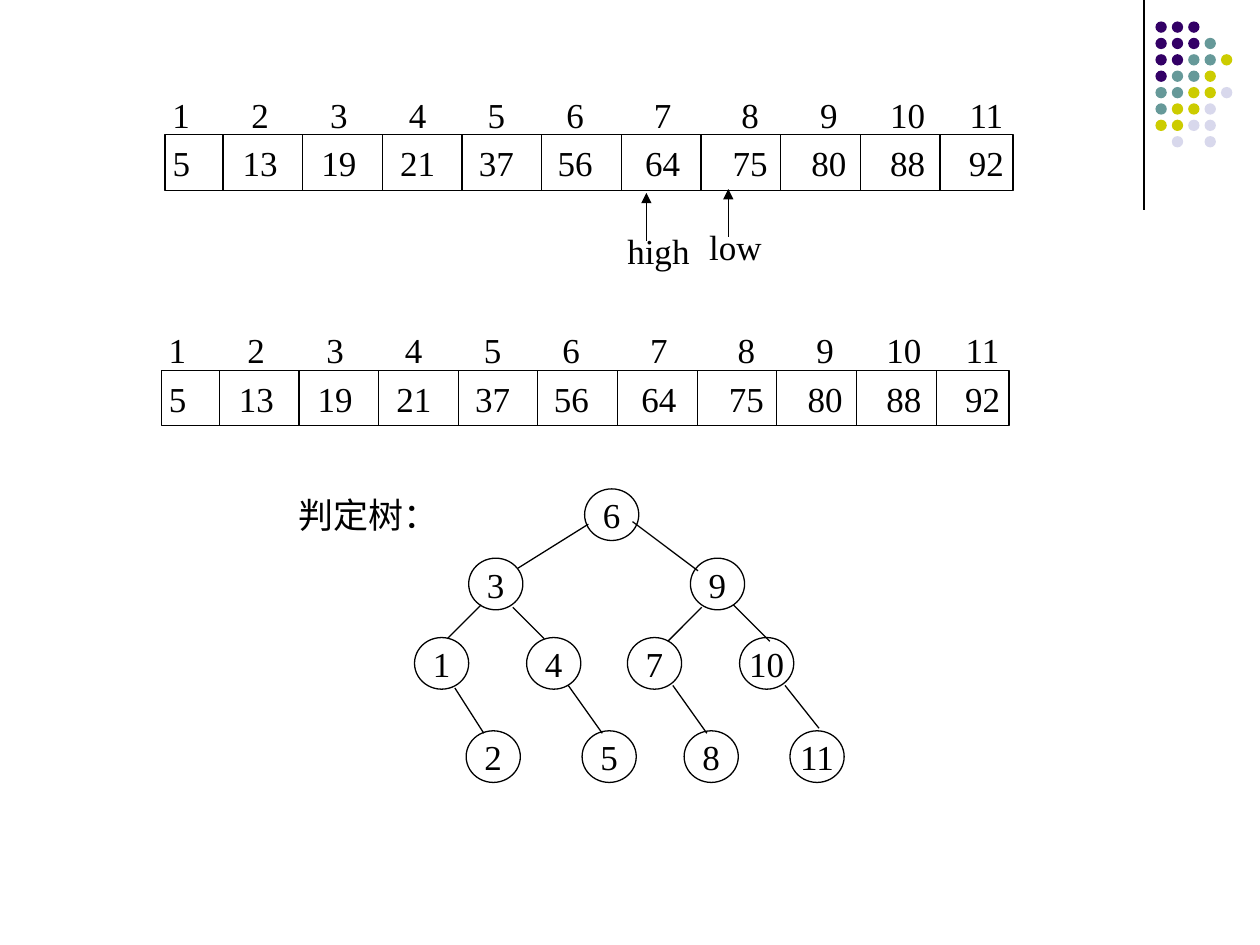
"""Build the binary search slide: two indexed arrays and their decision tree."""
import pptx
import pptx.util
import pptx.dml.color
import pptx.enum.shapes
import pptx.enum.text
import pptx.oxml
import pptx.oxml.ns

RGBColor = pptx.dml.color.RGBColor
Inches = pptx.util.Inches
Align = pptx.enum.text.PP_ALIGN
Anchor = pptx.enum.text.MSO_ANCHOR
Shape = pptx.enum.shapes.MSO_SHAPE

BLACK = RGBColor(0, 0, 0)
DOT_COLORS = {
    "P": RGBColor(0x33, 0x00, 0x66),
    "T": RGBColor(0x66, 0x99, 0x99),
    "Y": RGBColor(0xCC, 0xCC, 0x00),
    "L": RGBColor(0xD8, 0xD8, 0xEC),
}
DOT_ROWS = ["PPP", "PPPT", "PPTTY", "PTTY", "TTYYL", "TYYL", "YYLL", ".L.L"]
DOT_ORIGIN, DOT_PITCH, DOT_SIZE = (9.17, 0.17), 0.13, 0.09

INDEXES = [1, 2, 3, 4, 5, 6, 7, 8, 9, 10, 11]
VALUES = [5, 13, 19, 21, 37, 56, 64, 75, 80, 88, 92]
ARRAY_ORIGINS = [(1.31, 1.07), (1.28, 2.94)]
ARRAY_WIDTH, ROW_HEIGHT = 6.73, 0.44
FIRST_CELL, CELL_WIDTH = 0.46, 5.69 / 9
NUMBER_PITCH, WIDE_GAP = 6.25 / 10, 0.07
NUMBER_STOPS = [
    0.07 + NUMBER_PITCH * i + WIDE_GAP * ((i >= 6) + (i >= 7))
    for i in range(1, len(INDEXES))
]

POINTERS = [
    {"name": "low", "left": 5.53, "top": 1.74, "x": 5.78, "tip": 1.5},
    {"name": "high", "left": 4.88, "top": 1.77, "x": 5.13, "tip": 1.53},
]
POINTER_WIDTH, ARROW_LENGTH = 0.75, 0.38

TREE_HEADING = "判定树："
NODE_SIZE = (0.43, 0.41)
TREE_LEVELS = [
    (3.88, {6: 4.64}),
    (4.43, {3: 3.72, 9: 5.48}),
    (5.06, {1: 3.29, 4: 4.18, 7: 4.98, 10: 5.87}),
    (5.8, {2: 3.7, 5: 4.62, 8: 5.43, 11: 6.27}),
]
BRANCHES = {
    (6, 3): (4.67, 4.16, 4.11, 4.51), (6, 9): (5.02, 4.14, 5.54, 4.53),
    (3, 1): (3.82, 4.8, 3.55, 5.07), (3, 4): (4.07, 4.82, 4.32, 5.07),
    (9, 7): (5.57, 4.82, 5.3, 5.09), (9, 10): (5.82, 4.8, 6.11, 5.09),
    (1, 2): (3.61, 5.46, 3.84, 5.82), (4, 5): (4.51, 5.44, 4.78, 5.82),
    (7, 8): (5.34, 5.44, 5.61, 5.82), (10, 11): (6.23, 5.44, 6.5, 5.78),
}


def add_xml(parent, tag, **attributes):
    element = parent.makeelement(pptx.oxml.ns.qn(tag), attributes)
    parent.append(element)
    return element


def write(frame, text, align=Align.LEFT, anchor=Anchor.TOP, wrap=False,
          left=0.1, right=0.1, stops=()):
    frame.word_wrap = wrap
    frame.vertical_anchor = anchor
    frame.margin_left, frame.margin_right = Inches(left), Inches(right)
    paragraph = frame.paragraphs[0]
    paragraph.alignment = align
    run = paragraph.add_run()
    run.text = text
    run.font.size = pptx.util.Pt(20)
    run.font.name = "Times New Roman"
    run.font.color.rgb = BLACK
    if stops:
        tabs = add_xml(paragraph._p.get_or_add_pPr(), "a:tabLst")
        for stop in stops:
            add_xml(tabs, "a:tab", pos=str(int(Inches(stop))), algn="ctr")


def add_label(slide, text, left, top, width, **options):
    label = slide.shapes.add_textbox(*map(Inches, (left, top, width, ROW_HEIGHT)))
    write(label.text_frame, text, **options)


def add_outline(slide, kind, left, top, width, height, fill=None):
    outline = slide.shapes.add_shape(kind, *map(Inches, (left, top, width, height)))
    outline.shadow.inherit = False
    if fill is None:
        outline.fill.background()
        outline.line.color.rgb = BLACK
        outline.line.width = pptx.util.Pt(0.75)
    else:
        outline.fill.solid()
        outline.fill.fore_color.rgb = fill
        outline.line.fill.background()
    return outline


def add_line(slide, x1, y1, x2, y2, arrow=False):
    line = slide.shapes.add_connector(
        pptx.enum.shapes.MSO_CONNECTOR.STRAIGHT, *map(Inches, (x1, y1, x2, y2)))
    line.line.color.rgb = BLACK
    line.line.width = pptx.util.Pt(0.75)
    properties = line._element.spPr
    if arrow:
        add_xml(properties.find(pptx.oxml.ns.qn("a:ln")), "a:tailEnd", type="triangle")
    add_xml(properties, "a:effectLst")


def add_corner(slide):
    add_line(slide, 9.08, 0, 9.08, 1.67)
    for row, colors in enumerate(DOT_ROWS):
        for column, color in enumerate(colors):
            if color in DOT_COLORS:
                add_outline(slide, Shape.OVAL, DOT_ORIGIN[0] + column * DOT_PITCH,
                            DOT_ORIGIN[1] + row * DOT_PITCH, DOT_SIZE, DOT_SIZE,
                            fill=DOT_COLORS[color])


def add_array(slide, left, top):
    number_format = dict(wrap=True, right=0, stops=NUMBER_STOPS)
    add_label(slide, "\t".join(map(str, INDEXES)), left - 0.04, top - 0.38, 6.81,
              **number_format)
    cells = add_outline(slide, Shape.RECTANGLE, left, top, ARRAY_WIDTH, ROW_HEIGHT)
    write(cells.text_frame, "\t".join(map(str, VALUES)), anchor=Anchor.MIDDLE,
          left=0.06, **number_format)
    for i in range(len(VALUES) - 1):
        x = left + FIRST_CELL + i * CELL_WIDTH
        add_line(slide, x, top, x, top + ROW_HEIGHT)


def add_pointer(slide, name, left, top, x, tip):
    add_line(slide, x, tip + ARROW_LENGTH, x, tip, arrow=True)
    add_label(slide, name, left, top, POINTER_WIDTH, right=0)


def add_tree(slide):
    for top, nodes in TREE_LEVELS:
        for number, left in nodes.items():
            node = add_outline(slide, Shape.OVAL, left, top, *NODE_SIZE)
            write(node.text_frame, str(number), align=Align.CENTER,
                  anchor=Anchor.MIDDLE)
    for ends in BRANCHES.values():
        add_line(slide, *ends)
    add_label(slide, TREE_HEADING, 2.27, 3.87, 1.31)


def main():
    deck = pptx.Presentation()
    deck.slide_width, deck.slide_height = Inches(10), Inches(7.5)
    slide = deck.slides.add_slide(deck.slide_layouts[6])
    add_corner(slide)
    for origin in ARRAY_ORIGINS:
        add_array(slide, *origin)
    for pointer in POINTERS:
        add_pointer(slide, **pointer)
    add_tree(slide)
    deck.save("out.pptx")


if __name__ == "__main__":
    main()
